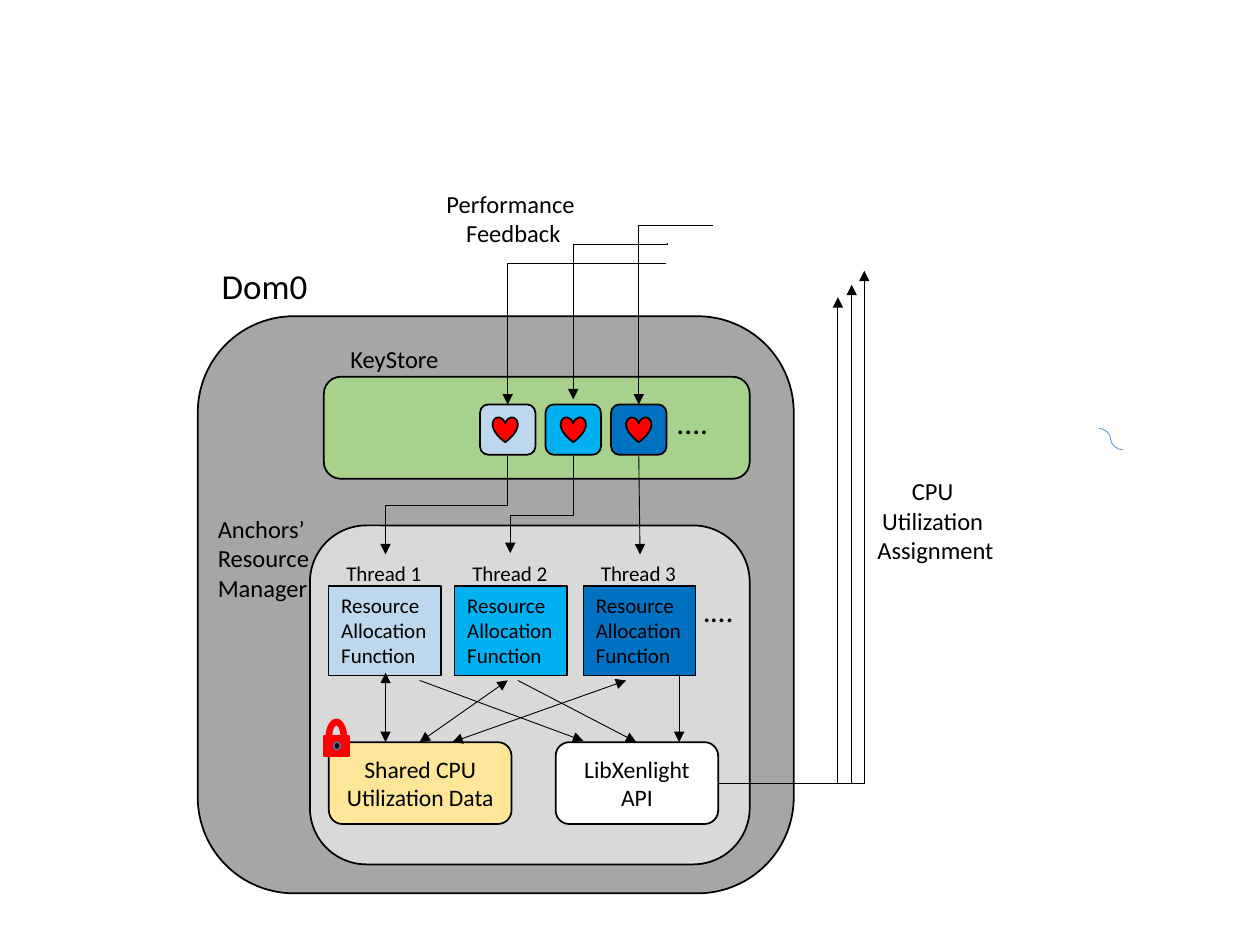
"""Draw the resource manager diagram on one slide."""
from lxml import etree
from pptx import Presentation
from pptx.dml.color import RGBColor
from pptx.enum.shapes import MSO_CONNECTOR, MSO_SHAPE
from pptx.enum.text import MSO_ANCHOR, MSO_AUTO_SIZE, PP_ALIGN
from pptx.oxml.ns import qn
from pptx.util import Inches, Pt

ROUND, RECT = MSO_SHAPE.ROUNDED_RECTANGLE, MSO_SHAPE.RECTANGLE
HEART, ARC, OVAL = MSO_SHAPE.HEART, MSO_SHAPE.BLOCK_ARC, MSO_SHAPE.OVAL
LINE, ELBOW, CURVE = MSO_CONNECTOR.STRAIGHT, MSO_CONNECTOR.ELBOW, MSO_CONNECTOR.CURVE
LEFT, MID = PP_ALIGN.LEFT, PP_ALIGN.CENTER
TOP, CORE = MSO_ANCHOR.TOP, MSO_ANCHOR.MIDDLE
FIT = MSO_AUTO_SIZE.SHAPE_TO_FIT_TEXT
HUES = {
    "black": "000000", "white": "FFFFFF", "red": "FF0000", "gray": "A6A6A6",
    "pale": "D9D9D9", "green": "A9D18E", "sand": "FFE699", "light": "BDD7EE",
    "sky": "00B0F0", "deep": "0070C0", "steel": "43739E", "blue": "5B9BD5",
}


def rgb(name):
    return RGBColor.from_string(HUES[name])


def write(frame, text, size=14, align=LEFT, anchor=TOP, wrap=False, grow=True, pad=(0.1, 0.05)):
    frame.word_wrap = wrap
    frame.vertical_anchor = anchor
    if grow:
        frame.auto_size = FIT
    frame.margin_left = frame.margin_right = Inches(pad[0])
    frame.margin_top = frame.margin_bottom = Inches(pad[1])
    for i, row in enumerate(text.split("\n")):
        para = frame.add_paragraph() if i else frame.paragraphs[0]
        para.alignment = align
        run = para.add_run()
        run.text = row
        run.font.size = Pt(size)
        run.font.name = "Calibri"
        run.font.color.rgb = rgb("black")


class Board:
    def __init__(self, slide):
        self.shapes = slide.shapes

    def shape(self, kind, box, fill, line="black", width=1):
        item = self.shapes.add_shape(kind, *map(Inches, box))
        item.shadow.inherit = False
        item.fill.solid()
        item.fill.fore_color.rgb = rgb(fill)
        item.line.color.rgb = rgb(line)
        item.line.width = Pt(width)
        return item

    def label(self, box, text, **style):
        write(self.shapes.add_textbox(*map(Inches, box)).text_frame, text, **style)

    def line(self, start, end, kind=LINE, hue="black", head=False, tail=True):
        item = self.shapes.add_connector(kind, *map(Inches, (*start, *end)))
        item.line.color.rgb = rgb(hue)
        item.line.width = Pt(0.5)
        stroke = item.line._get_or_add_ln()
        for tag, used in (("a:headEnd", head), ("a:tailEnd", tail)):
            if used:
                etree.SubElement(stroke, qn(tag), type="triangle")
        etree.SubElement(item._element.spPr, qn("a:effectLst"))
        return item

    def turn(self, start, end):
        item = self.line(start, end, ELBOW)
        item._element.spPr.find(qn("a:prstGeom")).set("prst", "bentConnector2")

    def step(self, start, end, ratio=0.5):
        (x1, y1), (x2, y2) = start, end
        x, y = (x1 + x2) / 2, (y1 + y2) / 2
        dx, dy = (x1 - x2) / 2, (y2 - y1) / 2
        item = self.line((x - dy, y - dx), (x + dy, y + dx), ELBOW)
        props = item._element.spPr
        props.find(qn("a:xfrm")).set("rot", "5400000")
        geom = props.find(qn("a:prstGeom"))
        marks = geom.find(qn("a:avLst"))
        if marks is None:
            marks = etree.SubElement(geom, qn("a:avLst"))
        etree.SubElement(marks, qn("a:gd"), name="adj1", fmla=f"val {round(ratio * 100000)}")


deck = Presentation()
deck.slide_width, deck.slide_height = Inches(10), Inches(7.5)
board = Board(deck.slides.add_slide(deck.slide_layouts[6]))

for box, fill in (
    ((1.57, 2.51, 4.73, 4.58), "gray"),
    ((2.57, 2.99, 3.38, 0.81), "green"),
    ((2.46, 4.17, 3.49, 2.69), "pale"),
):
    board.shape(ROUND, box, fill)

board.label((1.66, 2.05, 0.89, 0.44), "Dom0", size=20)
board.label((2.67, 2.68, 0.92, 0.34), "KeyStore", align=MID)
board.label((1.63, 4.03, 0.95, 0.81), "Anchors’ \nResource \nManager", wrap=True)
board.label((3.44, 1.45, 1.27, 0.57), "Performance \nFeedback", align=MID)
board.label((6.86, 3.73, 1.13, 0.81), "CPU \nUtilization \nAssignment", align=MID)
board.label((5.27, 3.15, 0.63, 0.4), "....", size=18, wrap=True)
board.label((5.48, 4.64, 0.45, 0.4), ".…", size=18, wrap=True)

threads = (("light", 3.91, 2.61), ("sky", 4.45, 3.61), ("deep", 4.97, 4.63))
for i, (fill, heart, left) in enumerate(threads):
    board.shape(ROUND, (3.81 + 0.52 * i, 3.21, 0.44, 0.4), fill)
    board.shape(HEART, (heart, 3.31, 0.2, 0.2), "red")
    task = board.shape(RECT, (left, 4.65, 0.89, 0.71), fill, width=0.75)
    write(task.text_frame, "Resource\nAllocation\nFunction", size=12)
    board.label((left + 0.04, 4.4, 0.8, 0.3), f"Thread {i + 1}", size=12)

for box, fill, text in (
    ((2.61, 5.89, 1.45, 0.65), "sand", "Shared CPU Utilization Data"),
    ((4.41, 5.89, 1.29, 0.65), "white", "LibXenlight\nAPI"),
):
    store = board.shape(ROUND, box, fill)
    write(store.text_frame, text, size=13.5, align=MID, anchor=CORE,
          wrap=True, grow=False, pad=(0.07, 0.04))

board.turn((5.66, 1.79), (5.07, 3.21))
board.turn((5.29, 2.09), (4.03, 3.21))
board.step((5.3, 1.93), (4.55, 3.17), 0.01)
board.step((4.03, 3.62), (3.06, 4.4))
board.step((4.55, 3.62), (4.05, 4.39), 0.61)
board.line((5.07, 3.62), (5.08, 4.4))
for end in ((6.65, 2.36), (6.76, 2.26), (6.86, 2.15)):
    board.turn((5.7, 6.22), end)

for start, end, both in (
    ((3.06, 5.34), (3.06, 5.89), True),
    ((4.03, 5.4), (3.33, 5.89), True),
    ((4.97, 5.4), (3.59, 5.89), True),
    ((3.33, 5.4), (4.63, 5.88), False),
    ((4.11, 5.4), (5.05, 5.89), False),
    ((5.39, 5.35), (5.39, 5.89), False),
):
    board.line(start, end, head=both)

board.shape(RECT, (2.57, 5.84, 0.2, 0.16), "red", "red")
board.shape(ARC, (2.59, 5.71, 0.16, 0.29), "red", "red")
board.shape(OVAL, (2.65, 5.89, 0.05, 0.06), "black", "steel")
board.line((8.72, 3.4), (8.91, 3.57), CURVE, "blue", tail=False)

deck.save("out.pptx")
